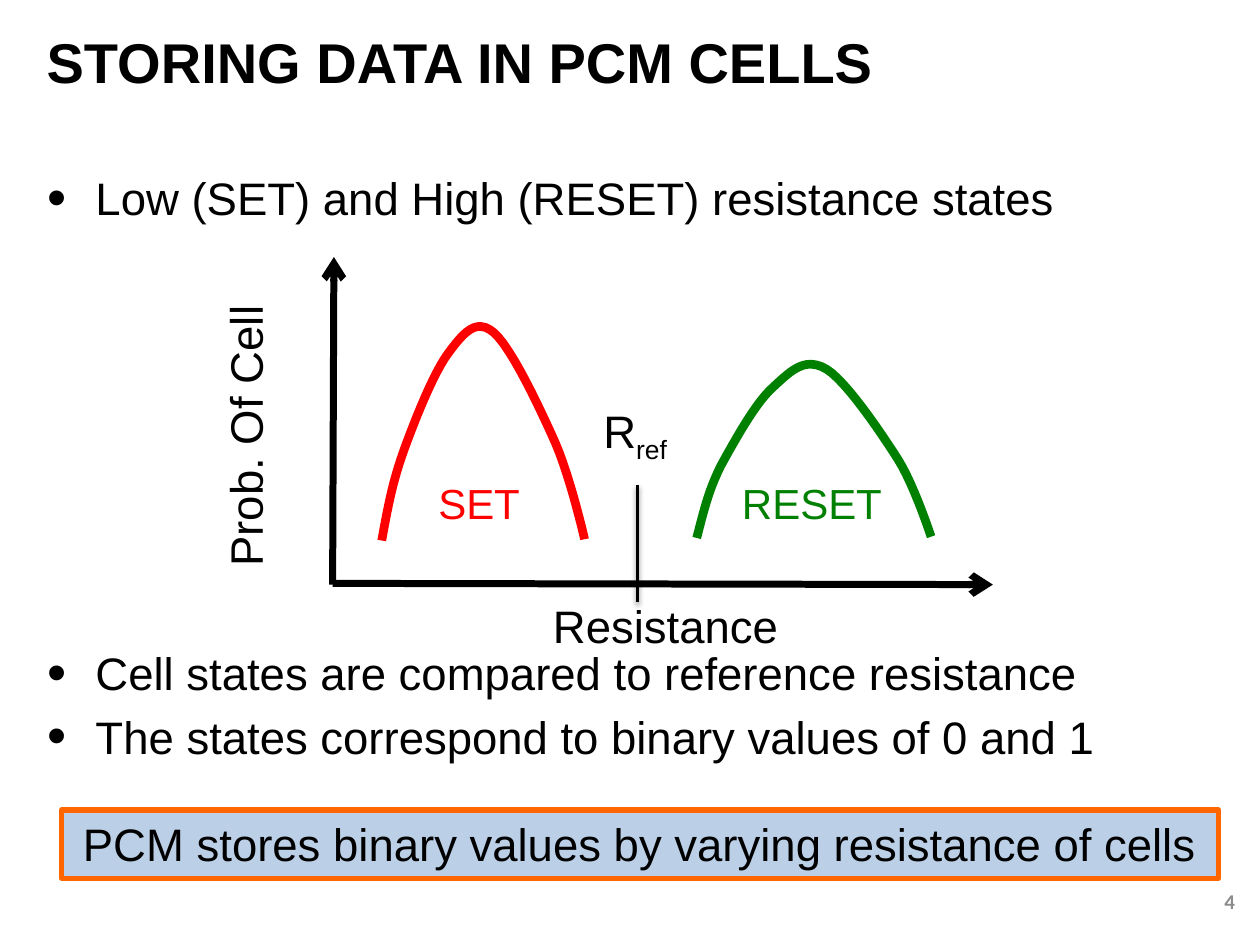
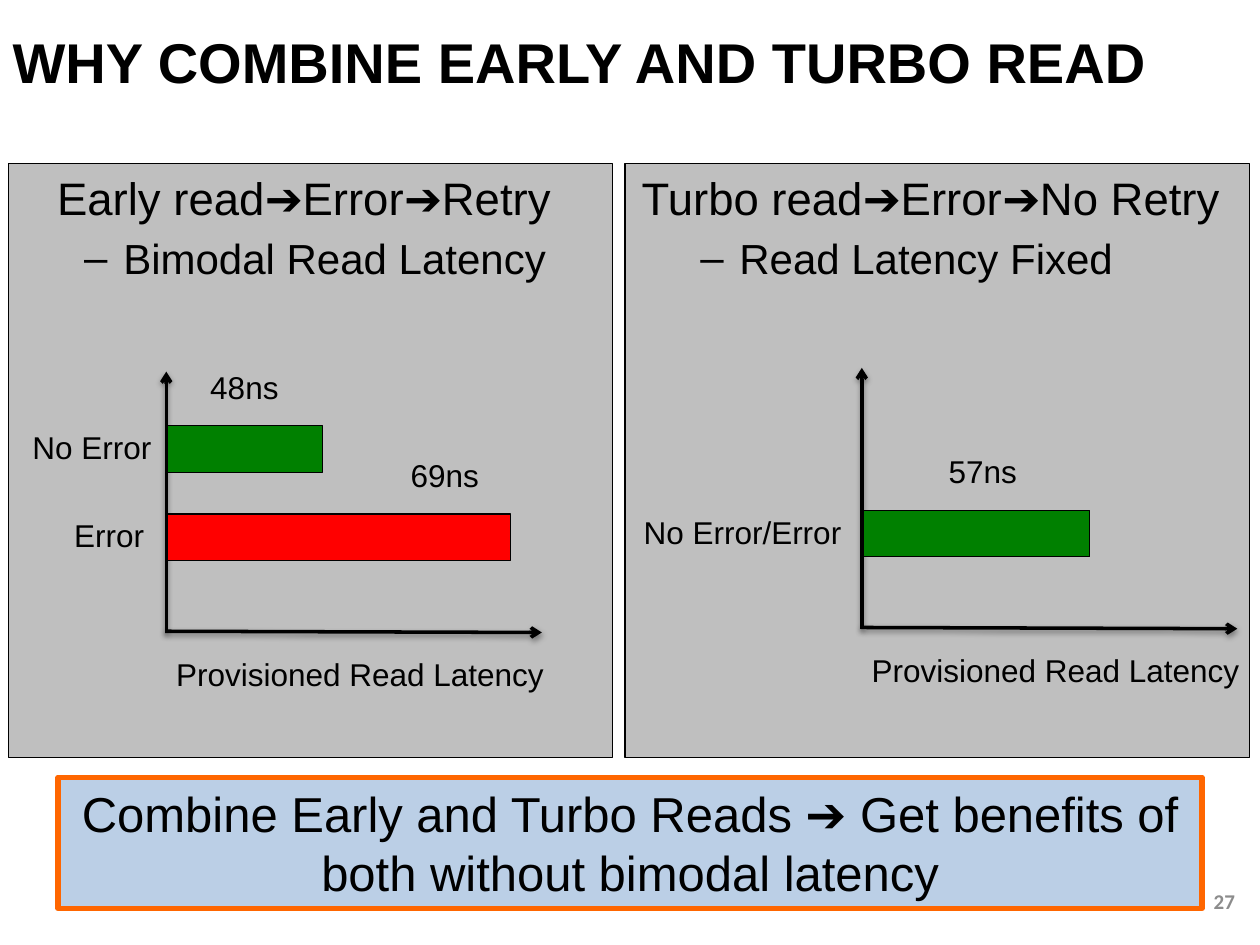
from dataclasses import dataclass

from lxml import etree
from pptx import Presentation
from pptx.dml.color import RGBColor
from pptx.enum.shapes import MSO_CONNECTOR, MSO_SHAPE
from pptx.enum.text import MSO_ANCHOR, MSO_AUTO_SIZE, PP_ALIGN
from pptx.oxml.ns import qn
from pptx.util import Inches, Pt

RECT, STRAIGHT = MSO_SHAPE.RECTANGLE, MSO_CONNECTOR.STRAIGHT
TOP, MIDDLE = MSO_ANCHOR.TOP, MSO_ANCHOR.MIDDLE
LEFT, CENTER, RIGHT = PP_ALIGN.LEFT, PP_ALIGN.CENTER, PP_ALIGN.RIGHT
NO_FIT = MSO_AUTO_SIZE.NONE
TITLE_ONLY = 5


@dataclass(frozen=True)
class Theme:
    black: str = "000000"
    red: str = "FF0000"
    green: str = "008000"
    gray: str = "8C8C8C"
    panel: str = "BFBFBF"
    callout: str = "BBCFE6"
    orange: str = "FF6600"
    font: str = "Arial"
    number_font: str = "Calibri"
    title: int = 32
    big: int = 28
    body: int = 26
    sub: int = 24
    label: int = 18
    number: int = 12


T = Theme()


# Shared helpers
def apply(obj, **values):
    for name, value in values.items():
        setattr(obj, name, value)


def box_of(*lengths):
    return [Inches(n) for n in lengths]


def write(p, text, size, color=T.black, font=T.font, bold=False, align=LEFT):
    p.alignment = align
    r = p.add_run()
    r.text = text
    apply(r.font, size=Pt(size), name=font, bold=bold)
    r.font.color.rgb = RGBColor.from_string(color)
    return r


def bullet(p, char, left, hang, percent=100):
    pPr = p._p.get_or_add_pPr()
    pPr.set("marL", str(Inches(left)))
    pPr.set("indent", str(-Inches(hang)))
    etree.SubElement(pPr, qn("a:buSzPct"), val=str(percent * 1000))
    etree.SubElement(pPr, qn("a:buFont"), typeface=T.font)
    etree.SubElement(pPr, qn("a:buChar"), char=char)


def add_label(s, text, x, y, w, h, size=T.label, wrap=False, anchor=TOP, **fmt):
    sp = s.shapes.add_textbox(*box_of(x, y, w, h))
    apply(sp.text_frame, word_wrap=wrap, vertical_anchor=anchor)
    write(sp.text_frame.paragraphs[0], text, size, **fmt)
    return sp


def add_rect(s, x, y, w, h, fill, line=T.black, weight=0.75):
    sp = s.shapes.add_shape(RECT, *box_of(x, y, w, h))
    sp.shadow.inherit = False
    sp.fill.solid()
    sp.fill.fore_color.rgb = RGBColor.from_string(fill)
    sp.line.color.rgb = RGBColor.from_string(line)
    sp.line.width = Pt(weight)
    return sp


def add_line(s, x1, y1, x2, y2, weight, arrow=True, shadow=False):
    cx = s.shapes.add_connector(STRAIGHT, *box_of(x1, y1, x2, y2))
    cx.line.color.rgb = RGBColor.from_string(T.black)
    cx.line.width = Pt(weight)
    if arrow:
        etree.SubElement(cx.line._get_or_add_ln(), qn("a:tailEnd"), type="arrow")
    effects = etree.SubElement(cx._element.spPr, qn("a:effectLst"))
    if shadow:
        outer = etree.SubElement(effects, qn("a:outerShdw"), blurRad=str(Pt(3.1)),
                                 dist=str(Pt(1.6)), dir="5400000", rotWithShape="0")
        color = etree.SubElement(outer, qn("a:srgbClr"), val=T.black)
        etree.SubElement(color, qn("a:alpha"), val="38000")


def add_slide(prs, title, number, left, width):
    s = prs.slides.add_slide(prs.slide_layouts[TITLE_ONLY])
    sp = s.shapes.title
    x, y, w, h = box_of(left, 0.22, width, 0.53)
    apply(sp, left=x, top=y, width=w, height=h)
    apply(sp.text_frame, auto_size=NO_FIT, word_wrap=True, vertical_anchor=MIDDLE)
    write(sp.text_frame.paragraphs[0], title, T.title, bold=True)
    add_label(s, number, 7.57, 6.95, 2.33, 0.4, T.number, wrap=True, anchor=MIDDLE,
              color=T.gray, font=T.number_font, bold=True, align=RIGHT)
    return s


def add_callout(s, text, box, size):
    sp = add_rect(s, *box, T.callout, T.orange, 3)
    apply(sp.text_frame, word_wrap=True, vertical_anchor=TOP)
    write(sp.text_frame.paragraphs[0], text, size, align=CENTER)


# Resistance distribution slide
def add_bullets(s, x, y, w, h, lines):
    tf = s.shapes.add_textbox(*box_of(x, y, w, h)).text_frame
    tf.word_wrap = True
    for i, line in enumerate(lines):
        p = tf.add_paragraph() if i else tf.paragraphs[0]
        p.space_before = Pt(5.2)
        write(p, line, T.body)
        bullet(p, "•", 0.38, 0.38, 120)


def bezier(a, b, c, d, steps=12):
    for i in range(1, steps + 1):
        t = i / steps
        u = 1 - t
        yield tuple(u**3 * k + 3 * u * u * t * m + 3 * u * t * t * n + t**3 * q
                    for k, m, n, q in zip(a, b, c, d))


def add_curve(s, x, y, points, color):
    smooth = [points[0]]
    for i in range(0, len(points) - 1, 3):
        smooth += bezier(*points[i:i + 4])
    dots = [box_of(x + px, y + py) for px, py in smooth]
    fb = s.shapes.build_freeform(*dots[0])
    fb.add_line_segments(dots[1:], close=False)
    sp = fb.convert_to_shape()
    sp.shadow.inherit = False
    sp.fill.background()
    sp.line.color.rgb = RGBColor.from_string(color)
    sp.line.width = Pt(5)


SET_CURVE = [(0, 1.7), (0.04, 1.48), (0.08, 1.25), (0.17, 1), (0.26, 0.75),
             (0.41, 0.37), (0.53, 0.21), (0.65, 0.05), (0.75, -0.07), (0.89, 0.05),
             (1.03, 0.17), (1.26, 0.66), (1.38, 0.93), (1.5, 1.21), (1.61, 1.69),
             (1.61, 1.69)]
RESET_CURVE = [(0, 1.38), (0.05, 1.19), (0.09, 1.01), (0.19, 0.81), (0.3, 0.61),
               (0.47, 0.3), (0.61, 0.18), (0.75, 0.05), (0.86, -0.06), (1.03, 0.04),
               (1.19, 0.14), (1.46, 0.54), (1.6, 0.76), (1.73, 0.97), (1.86, 1.37),
               (1.86, 1.37)]


def add_distribution(s, x, y, w, h):
    base = y + h
    # Axes
    add_line(s, x, base, x + 0.01, y, 4)
    add_line(s, x, base - 0.01, x + w, base, 4)
    # Cell states
    add_curve(s, x + 0.39, y + 0.55, SET_CURVE, T.red)
    add_curve(s, x + 2.89, y + 0.85, RESET_CURVE, T.green)
    add_label(s, "SET", x + 0.74, y + 1.7, 0.85, 0.5, T.sub, color=T.red)
    add_label(s, "RESET", x + 3.15, y + 1.7, 1.32, 0.5, T.sub, color=T.green)
    # Reference resistance
    add_line(s, x + 2.42, y + 1.81, x + 2.42, y + 2.74, 2, arrow=False, shadow=True)
    ref = add_label(s, "R", x + 2.05, y + 1.11, 0.76, 0.54, T.body)
    r = write(ref.text_frame.paragraphs[0], "ref", T.body)
    r.font._element.set("baseline", "-25000")
    # Axis titles
    add_label(s, "Resistance", x + 1.65, base + 0.06, 2.01, 0.54, T.body)
    sp = add_label(s, "Prob. Of Cell", x - 1.84, y + 1.14, 2.29, 0.54, T.body)
    sp.rotation = 270


def storing_slide(prs):
    s = add_slide(prs, "STORING DATA IN PCM CELLS", "4", 0.27, 9.17)
    add_bullets(s, 0.28, 1.3, 9.24, 0.55,
                ["Low (SET) and High (RESET) resistance states"])
    add_bullets(s, 0.28, 5.07, 9.24, 1.1,
                ["Cell states are compared to reference resistance",
                 "The states correspond to binary values of 0 and 1"])
    add_callout(s, "PCM stores binary values by varying resistance of cells",
                (0.49, 6.43, 9.18, 0.54), T.body)
    add_distribution(s, 2.64, 2.04, 5.24, 2.6)


# Read latency slide
def add_panel(s, x, y, w, h, heading, detail):
    tf = add_rect(s, x, y, w, h, T.panel).text_frame
    apply(tf, word_wrap=True, vertical_anchor=TOP)
    p = tf.paragraphs[0]
    p.space_before = Pt(5.2)
    write(p, heading, T.body, align=CENTER)
    p = tf.add_paragraph()
    apply(p, level=1, space_before=Pt(4.8))
    write(p, detail, T.sub)
    bullet(p, "–", 0.81, 0.31)


def add_latency_plot(s, x, y, bars):
    """Axes meet at x, y; each bar gives its rise, width, fill and two labels."""
    add_line(s, x, y + 0.01, x, y - 2.06, 2, shadow=True)
    add_line(s, x - 0.01, y, x + 2.98, y + 0.01, 2, shadow=True)
    add_label(s, "Provisioned Read Latency", x - 0.02, y + 0.14, 3.15, 0.4)
    for rise, width, fill, (name, name_x, name_w), (value, value_x) in bars:
        top = y - rise
        add_rect(s, x + 0.01, top, width, 0.37, fill)
        add_label(s, name, x + name_x, top - 0.03, name_w, 0.4)
        add_label(s, value, x + value_x, top - 0.51, 0.75, 0.4)


def latency_slide(prs):
    s = add_slide(prs, "WHY COMBINE EARLY AND TURBO READ", "27", 0, 10)
    add_callout(s, "Combine Early and Turbo Reads ➔ Get benefits of both "
                   "without bimodal latency", (0.46, 6.17, 9.08, 1.04), T.big)
    add_panel(s, 0.07, 1.3, 4.79, 4.71,
              "Early read➔Error➔Retry ", "Bimodal Read Latency")
    add_panel(s, 4.96, 1.3, 4.96, 4.71,
              "Turbo read➔Error➔No Retry ", "Read Latency Fixed")
    add_latency_plot(s, 1.32, 5.01, [
        (1.63, 1.23, T.green, ("No Error", -1.16, 1.16), ("48ns", 0.25)),
        (0.93, 2.72, T.red, ("Error", -0.83, 0.76), ("69ns", 1.84))])
    add_latency_plot(s, 6.84, 4.98, [
        (0.93, 1.8, T.green, ("No Error/Error", -1.83, 1.79), ("57ns", 0.59))])


def main():
    prs = Presentation()
    apply(prs, slide_width=Inches(10), slide_height=Inches(7.5))
    storing_slide(prs)
    latency_slide(prs)
    prs.save("out.pptx")


if __name__ == "__main__":
    main()
